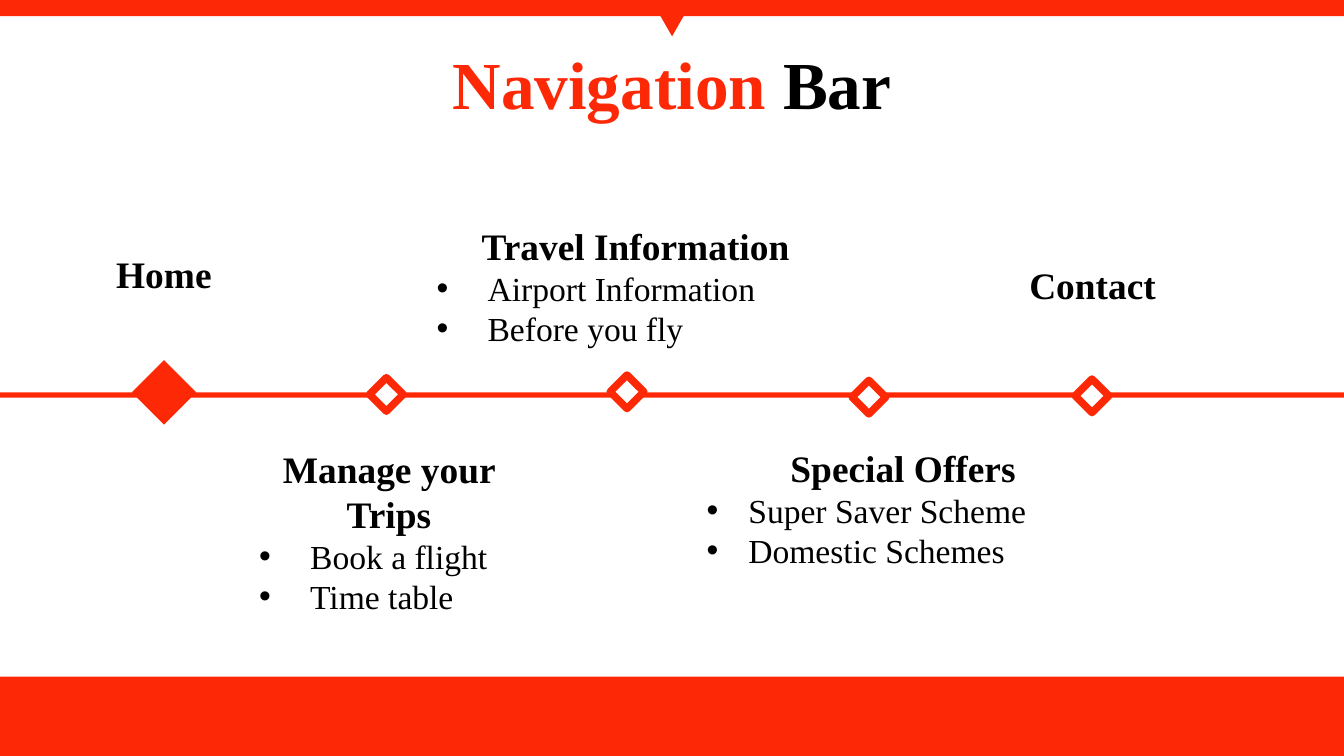
from dataclasses import dataclass

from lxml import etree
from pptx import Presentation
from pptx.dml.color import RGBColor
from pptx.enum.shapes import MSO_SHAPE
from pptx.enum.text import MSO_ANCHOR, PP_ALIGN
from pptx.oxml.ns import qn
from pptx.util import Inches, Pt

RECTANGLE, TRIANGLE, DIAMOND = MSO_SHAPE.RECTANGLE, MSO_SHAPE.ISOSCELES_TRIANGLE, MSO_SHAPE.DIAMOND
CENTER, LEFT = PP_ALIGN.CENTER, PP_ALIGN.LEFT
TOP, MIDDLE = MSO_ANCHOR.TOP, MSO_ANCHOR.MIDDLE


@dataclass(frozen=True)
class Theme:
    """Colours, font and type sizes of the deck."""
    accent: RGBColor = RGBColor(0xFD, 0x29, 0x06)
    ink: RGBColor = RGBColor(0, 0, 0)
    paper: RGBColor = RGBColor(0xFF, 0xFF, 0xFF)
    font: str = "Times New Roman"
    title: int = 36
    heading: int = 20
    item: int = 18
    outline: int = 4


THEME = Theme()
WIDTH = 10
HEIGHT = WIDTH * 9 / 16
HOME, MARKER = 0.48, 0.25
STOPS = [(2.75, 2.81), (4.54, 2.79), (6.34, 2.83), (8, 2.82)]
SECTIONS = [
    ((0.35, 1.82, 1.74, 0.44), "Home", [], 0),
    ((1.83, 3.27, 2.13, 1.72), "Manage your Trips", ["Book a flight", "Time table"], 0.38),
    ((5.16, 3.26, 3.12, 1.04), "Special Offers", ["Super Saver Scheme", "Domestic Schemes"], 0.31),
    ((3.15, 1.61, 3.16, 1.04), "Travel Information", ["Airport Information", "Before you fly"], 0.38),
    ((7.26, 1.9, 1.74, 0.44), "Contact", [], 0),
]


def add_block(page, kind, box, fill=THEME.accent, outline=None):
    """Add a flat preset shape, with an outline if a colour is given."""
    shape = page.shapes.add_shape(kind, *map(Inches, box))
    shape.shadow.inherit = False
    shape.fill.solid()
    shape.fill.fore_color.rgb = fill
    if outline is None:
        shape.line.fill.background()
    else:
        shape.line.color.rgb = outline
        shape.line.width = Pt(THEME.outline)
    return shape


def add_frame(page, box, anchor):
    """Add a wrapping text box and return its text frame."""
    frame = page.shapes.add_textbox(*map(Inches, box)).text_frame
    for name, value in {"word_wrap": True, "vertical_anchor": anchor}.items():
        setattr(frame, name, value)
    return frame


def add_span(para, text, size, bold=True, color=THEME.ink):
    """Append a formatted run to a paragraph."""
    span = para.add_run()
    span.text = text
    for name, value in {"name": THEME.font, "size": Pt(size), "bold": bold}.items():
        setattr(span.font, name, value)
    span.font.color.rgb = color


def add_bullet(para, indent):
    """Give a paragraph a hanging round bullet."""
    properties = para._p.get_or_add_pPr()
    for name, value in {"marL": indent, "indent": -indent}.items():
        properties.set(name, str(Inches(value)))
    etree.SubElement(properties, qn("a:buFont"), typeface="Arial")
    etree.SubElement(properties, qn("a:buChar"), char="•")


def add_bands(page, box):
    """Place the bottom band, the top band and its pointer."""
    left, top, width, height = box
    bottom, strip, pointer = 0.59, 0.12, 0.31
    add_block(page, RECTANGLE, (left, top + height - bottom, width, bottom))
    add_block(page, RECTANGLE, (left, top, width, strip))
    middle = left + (width - pointer) / 2
    add_block(page, TRIANGLE, (middle, top, pointer, 0.27)).rotation = 180


def add_title(page, box):
    """Place the two-coloured title."""
    para = add_frame(page, box, MIDDLE).paragraphs[0]
    para.alignment = CENTER
    add_span(para, "Navigation ", THEME.title, color=THEME.accent)
    add_span(para, "Bar", THEME.title)


def add_track(page, box):
    """Place the navigation line, the home marker and the stops."""
    left, top, width, height = box
    add_block(page, RECTANGLE, box)
    add_block(page, DIAMOND, (left + 0.98, top - HOME / 2, HOME, HOME))
    for across, down in STOPS:
        add_block(page, DIAMOND, (across, down, MARKER, MARKER), THEME.paper, THEME.accent)


def add_section(page, box, heading, items, indent):
    """Place a heading with its bulleted items."""
    frame = add_frame(page, box, TOP)
    para = frame.paragraphs[0]
    para.alignment = CENTER
    add_span(para, heading, THEME.heading)
    for item in items:
        para = frame.add_paragraph()
        para.alignment = LEFT
        add_bullet(para, indent)
        add_span(para, item, THEME.item, bold=False)


def main():
    """Build and save the navigation slide."""
    deck = Presentation()
    deck.slide_width, deck.slide_height = Inches(WIDTH), Inches(HEIGHT)
    page = deck.slides.add_slide(deck.slide_layouts[6])
    add_bands(page, (0, 0, WIDTH, HEIGHT))
    add_title(page, (0, 0.13, WIDTH, 0.97))
    add_track(page, (0, 2.92, WIDTH, 0.04))
    for section in SECTIONS:
        add_section(page, *section)
    deck.save("out.pptx")


if __name__ == "__main__":
    main()
